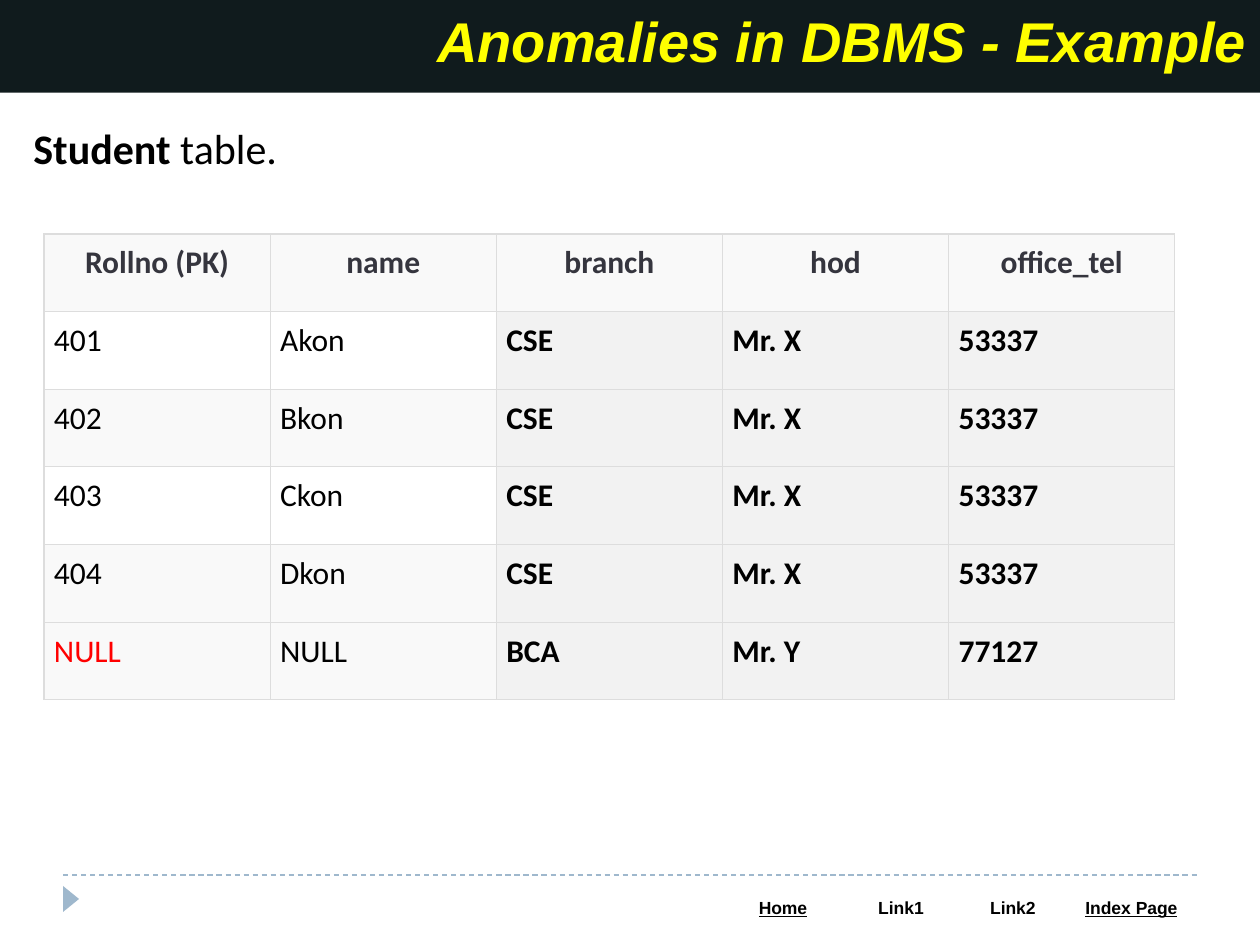
from pptx import Presentation
from pptx.dml.color import RGBColor
from pptx.enum.dml import MSO_LINE
from pptx.enum.shapes import MSO_CONNECTOR, MSO_SHAPE
from pptx.enum.text import MSO_ANCHOR, MSO_AUTO_SIZE, PP_ALIGN
from pptx.oxml.ns import qn
from pptx.util import Emu, Pt
from lxml import etree

LEFT, MID, RIGHT = PP_ALIGN.LEFT, PP_ALIGN.CENTER, PP_ALIGN.RIGHT
TOP, CENTER = MSO_ANCHOR.TOP, MSO_ANCHOR.MIDDLE
DASH, LINE = MSO_LINE.DASH, MSO_CONNECTOR.STRAIGHT
TRIANGLE, GROW = MSO_SHAPE.ISOSCELES_TRIANGLE, MSO_AUTO_SIZE.SHAPE_TO_FIT_TEXT

HEX = {
    "black": "000000", "white": "FFFFFF", "bar": "101B1D", "yellow": "FFFF00",
    "blue": "9FB8CD", "red": "FF0000", "head": "35353E", "pale": "F9F9F9",
    "gray": "F2F2F2", "rule": "DDDDDD",
}
TITLE_ONLY = 5


def px(n):
    return Emu(round(n * 914400 / 126))


def rgb(name):
    return RGBColor.from_string(HEX[name])


class Deck:
    def __init__(self):
        self.prs = Presentation()
        self.prs.slide_width, self.prs.slide_height = px(1260), px(945)
        self.slide = self.prs.slides.add_slide(self.prs.slide_layouts[TITLE_ONLY])
        self.shapes = self.slide.shapes

    def add_runs(self, frame, runs, size, font="Calibri", align=LEFT):
        """Each run is (text, color, styles), styles being letters of "biu"."""
        para = frame.paragraphs[0]
        para.alignment = align
        for text, color, style in runs:
            run = para.add_run()
            run.text = text
            face = run.font
            face.name, face.size = font, Pt(size)
            face.color.rgb = rgb(color)
            face.bold, face.italic, face.underline = (k in style for k in "biu")

    def title(self, text, x, y, w, h):
        bar = self.shapes.title
        bar.left, bar.top, bar.width, bar.height = map(px, (x, y, w, h))
        bar.fill.solid()
        bar.fill.fore_color.rgb = rgb("bar")
        frame = bar.text_frame
        frame.vertical_anchor, frame.auto_size = CENTER, GROW
        self.add_runs(frame, [(text, "yellow", "bi")], 32, "Arial", RIGHT)

    def text(self, runs, x, y, w, h, size):
        frame = self.shapes.add_textbox(*map(px, (x, y, w, h))).text_frame
        frame.word_wrap, frame.auto_size = True, GROW
        self.add_runs(frame, runs, size)

    def marker(self, x, y, w, h):
        mark = self.shapes.add_shape(TRIANGLE, *map(px, (x, y, w, h)))
        mark.rotation = 90
        mark.shadow.inherit = False
        mark.fill.solid()
        mark.fill.fore_color.rgb = rgb("blue")
        mark.line.fill.background()

    def rule(self, x1, y1, x2, y2):
        line = self.shapes.add_connector(LINE, *map(px, (x1, y1, x2, y2)))
        line.line.color.rgb = rgb("blue")
        line.line.width, line.line.dash_style = Pt(0.75), DASH
        etree.SubElement(line._element.spPr, qn("a:effectLst"))

    def table(self, rows, cols, x, y, w, h):
        grid = self.shapes.add_table(rows, cols, *map(px, (x, y, w, h))).table
        grid.first_row = grid.horz_banding = False
        return grid

    def cell(self, cell, run, fill, edge, size, font="Calibri", align=LEFT, pad=None):
        if pad:
            cell.margin_left = cell.margin_right = px(pad)
            cell.margin_top = cell.margin_bottom = px(pad)
        cell.vertical_anchor = TOP
        self.add_runs(cell.text_frame, [run], size, font, align)
        # Borders come before the fill in the cell properties
        props = cell._tc.get_or_add_tcPr()
        for side in ("lnL", "lnR", "lnT", "lnB"):
            line = etree.SubElement(props, qn(f"a:{side}"), w=str(Pt(0.75)))
            paint = etree.SubElement(line, qn("a:solidFill"))
            etree.SubElement(paint, qn("a:srgbClr"), val=HEX[edge])
        if fill:
            cell.fill.solid()
            cell.fill.fore_color.rgb = rgb(fill)
        else:
            cell.fill.background()


def main():
    deck = Deck()

    # Footer: marker, dashed rule and link row
    deck.marker(58, 891, 26, 16)
    deck.rule(63, 875, 1197, 875)
    links = [("Home", 118, "bu"), ("Link1", 118, "b"),
             ("Link2", 106, "b"), ("Index Page", 131, "bu")]
    bar = deck.table(1, len(links), 724, 892, 473, 34)
    for col, (name, width, style) in enumerate(links):
        bar.columns[col].width = px(width)
        deck.cell(bar.cell(0, col), (name, "black", style), "white", "white",
                  10, "Arial", MID)

    # Title and lead line
    deck.title("Anomalies in DBMS - Example", 0, 0, 1260, 80)
    deck.text([("Student", "black", "b"), (" table.", "black", "")],
              21, 116, 1218, 63, 24)

    # Student table: branch data is bold on gray
    heads = ["Rollno (PK)", "name", "branch", "hod", "office_tel"]
    cse = ["CSE", "Mr. X", "53337"]
    rows = [
        (None, ["401", "Akon", *cse]),
        ("pale", ["402", "Bkon", *cse]),
        (None, ["403", "Ckon", *cse]),
        ("pale", ["404", "Dkon", *cse]),
        ("pale", ["NULL", "NULL", "BCA", "Mr. Y", "77127"]),
    ]
    grid = deck.table(len(rows) + 1, len(heads), 44, 234, 1131, 466)
    for col, name in enumerate(heads):
        deck.cell(grid.cell(0, col), (name, "head", "b"), "pale", "rule", 18,
                  align=MID, pad=10)
    for row, (band, words) in enumerate(rows, 1):
        for col, word in enumerate(words):
            color = "red" if col == 0 and word == "NULL" else "black"
            style, fill = ("b", "gray") if col > 1 else ("", band)
            deck.cell(grid.cell(row, col), (word, color, style), fill, "rule",
                      18, pad=10)

    deck.prs.save("out.pptx")


if __name__ == "__main__":
    main()
